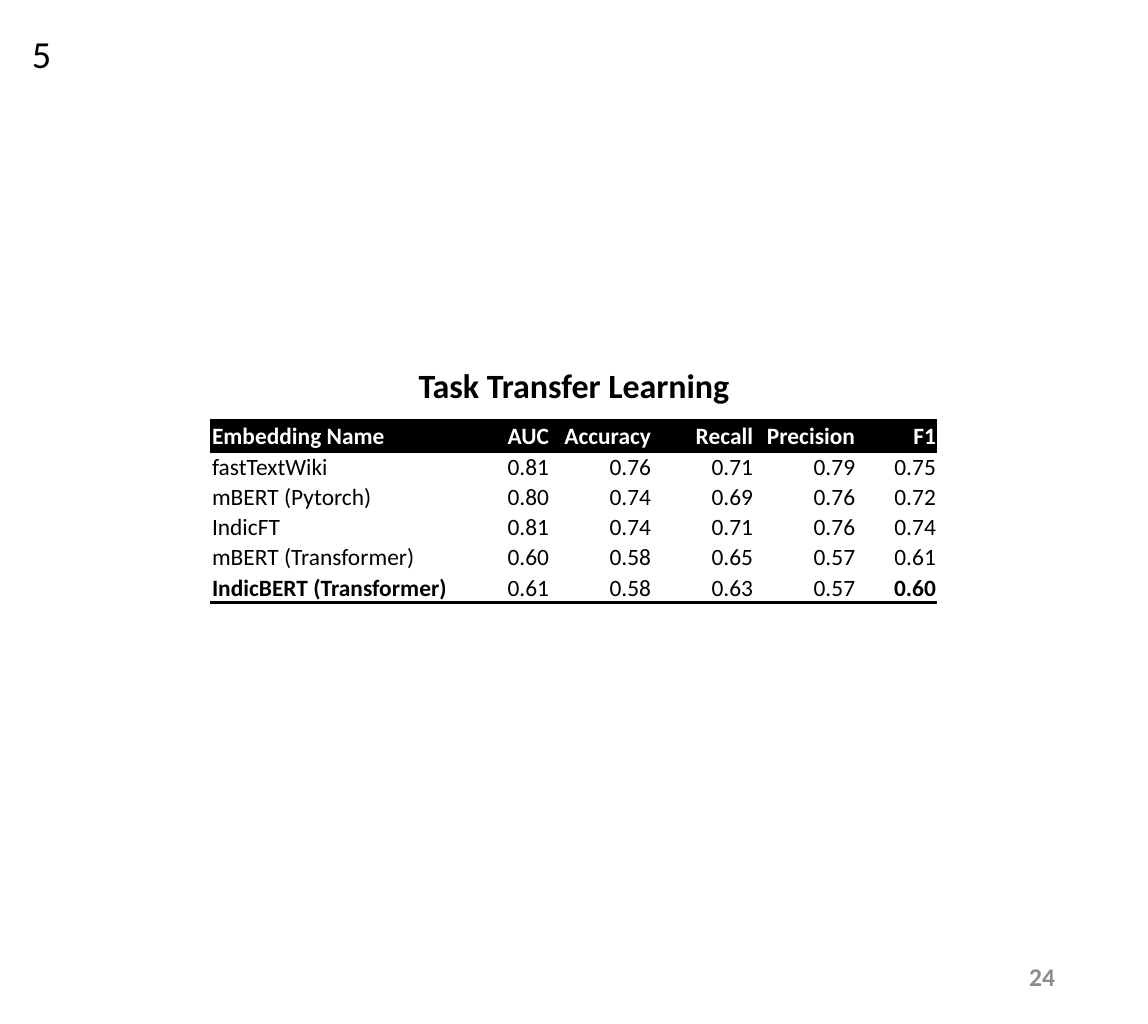
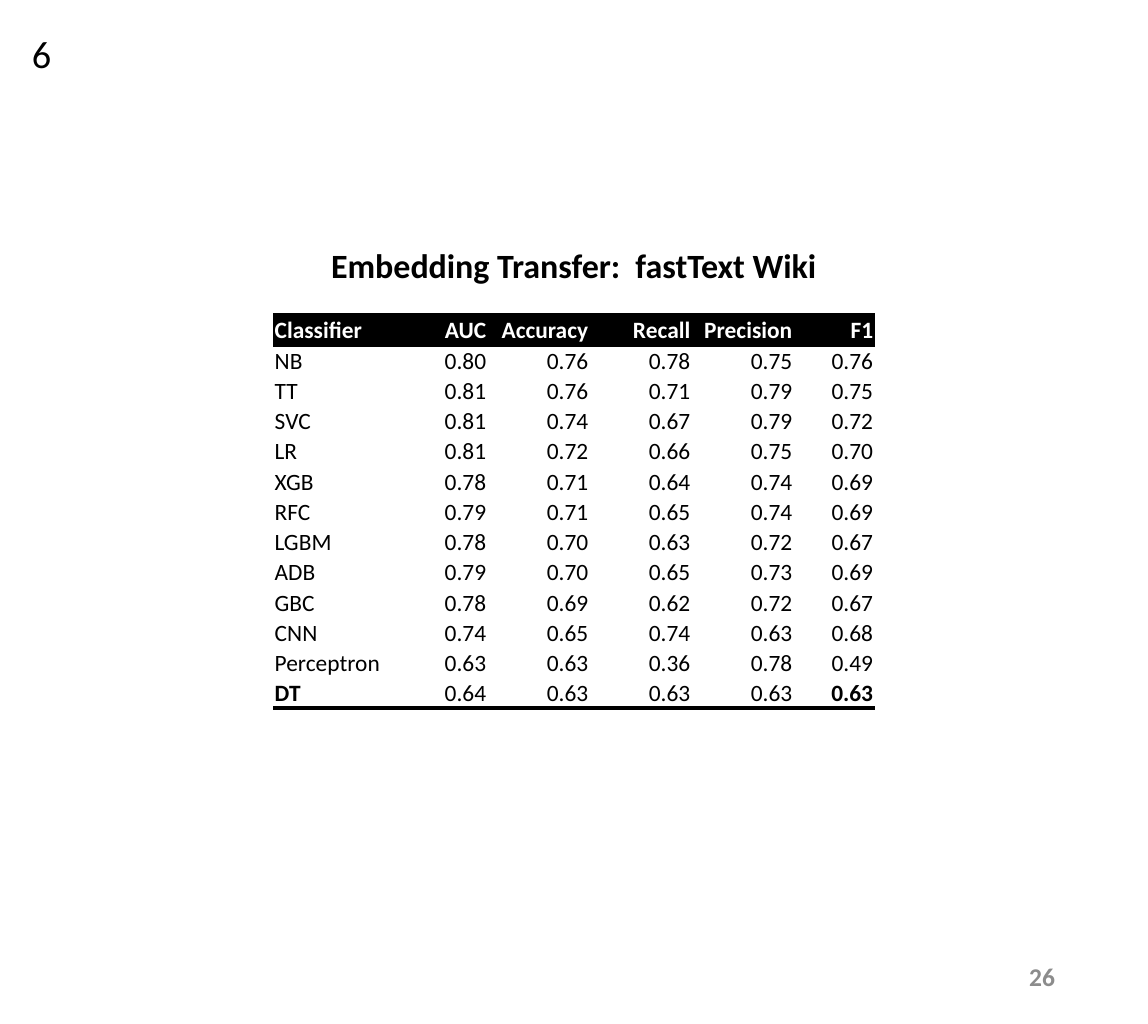
from lxml import etree
from pptx import Presentation
from pptx.dml.color import RGBColor
from pptx.enum import text
from pptx.oxml.ns import qn
from pptx.util import Pt

# Shared style
FONT = "Calibri"
BLACK = RGBColor(0x00, 0x00, 0x00)
WHITE = RGBColor(0xFF, 0xFF, 0xFF)
GRAY = RGBColor(0x8C, 0x8C, 0x8C)
LEFT, CENTER, RIGHT = (text.PP_ALIGN.LEFT, text.PP_ALIGN.CENTER,
                       text.PP_ALIGN.RIGHT)
PLAIN_TABLE_STYLE = "{2D5ABB26-0587-4C30-8999-92F81FD0307C}"

SLIDE_W, SLIDE_H = 540, 481.68
ROW_H = 14.25
METRICS = ["AUC", "Accuracy", "Recall", "Precision", "F1"]
METRIC_WIDTHS = [48, 48, 48, 48, 38]

# Content
RESULTS = [
    {
        "label": "5", "page": "24",
        "title": "Task Transfer Learning", "title_top": 167.8, "title_w": 270,
        "key": "Embedding Name", "key_w": 112, "table_top": 198,
        "rows": [
            ("fastTextWiki", 0.81, 0.76, 0.71, 0.79, 0.75),
            ("mBERT (Pytorch)", 0.80, 0.74, 0.69, 0.76, 0.72),
            ("IndicFT", 0.81, 0.74, 0.71, 0.76, 0.74),
            ("mBERT (Transformer)", 0.60, 0.58, 0.65, 0.57, 0.61),
            ("IndicBERT (Transformer)", 0.61, 0.58, 0.63, 0.57, 0.60),
        ],
    },
    {
        "label": "6", "page": "26",
        "title": "Embedding Transfer:  fastText Wiki",
        "title_top": 111.6, "title_w": 309,
        "key": "Classifier", "key_w": 53, "table_top": 148.2,
        "rows": [
            ("NB", 0.80, 0.76, 0.78, 0.75, 0.76),
            ("TT", 0.81, 0.76, 0.71, 0.79, 0.75),
            ("SVC", 0.81, 0.74, 0.67, 0.79, 0.72),
            ("LR", 0.81, 0.72, 0.66, 0.75, 0.70),
            ("XGB", 0.78, 0.71, 0.64, 0.74, 0.69),
            ("RFC", 0.79, 0.71, 0.65, 0.74, 0.69),
            ("LGBM", 0.78, 0.70, 0.63, 0.72, 0.67),
            ("ADB", 0.79, 0.70, 0.65, 0.73, 0.69),
            ("GBC", 0.78, 0.69, 0.62, 0.72, 0.67),
            ("CNN", 0.74, 0.65, 0.74, 0.63, 0.68),
            ("Perceptron", 0.63, 0.63, 0.36, 0.78, 0.49),
            ("DT", 0.64, 0.63, 0.63, 0.63, 0.63),
        ],
    },
]


def write(frame, words, size, color, bold, align):
    frame.text = words
    paragraph = frame.paragraphs[0]
    paragraph.alignment = align
    font = paragraph.runs[0].font
    font.name, font.size, font.bold = FONT, Pt(size), bold
    font.color.rgb = color


def add_label(slide, box, words, size, color=BLACK, bold=False, align=LEFT,
              wrap=True, anchor=text.MSO_ANCHOR.TOP):
    frame = slide.shapes.add_textbox(*map(Pt, box)).text_frame
    frame.word_wrap = wrap
    frame.vertical_anchor = anchor
    write(frame, words, size, color, bold, align)


def add_rules(cell, sides):
    """Draw 2 pt black rules on the given sides (lnT, lnB) of a cell."""
    props = cell._tc.get_or_add_tcPr()
    for side in sides:
        line = etree.SubElement(props, qn("a:" + side), w=str(Pt(2)))
        fill = etree.SubElement(line, qn("a:solidFill"))
        etree.SubElement(fill, qn("a:srgbClr"), val=str(BLACK))


def add_scores(slide, result):
    grid = [[result["key"], *METRICS]]
    grid += [[name, *(f"{score:.2f}" for score in scores)]
             for name, *scores in result["rows"]]
    widths = [result["key_w"], *METRIC_WIDTHS]
    total = sum(widths)
    last_row, last_col = len(grid) - 1, len(widths) - 1
    table = slide.shapes.add_table(
        len(grid), len(widths), Pt((SLIDE_W - total) / 2),
        Pt(result["table_top"]), Pt(total), Pt(ROW_H * len(grid))).table
    table.first_row = table.horz_banding = False
    table._tbl.tblPr.find(qn("a:tableStyleId")).text = PLAIN_TABLE_STYLE
    for column, width in zip(table.columns, widths):
        column.width = Pt(width)

    for r, values in enumerate(grid):
        table.rows[r].height = Pt(ROW_H)
        header = r == 0
        rules = ("lnT", "lnB") if header else ("lnB",) if r == last_row else ()
        for c, value in enumerate(values):
            cell = table.cell(r, c)
            cell.margin_left = cell.margin_right = cell.margin_top = Pt(0.72)
            cell.margin_bottom = 0
            cell.vertical_anchor = text.MSO_ANCHOR.BOTTOM
            add_rules(cell, rules)
            cell.fill.solid()
            cell.fill.fore_color.rgb = BLACK if header else WHITE
            bold = header or (r == last_row and c in (0, last_col))
            write(cell.text_frame, value, 11, WHITE if header else BLACK,
                  bold, RIGHT if c else LEFT)


def main():
    deck = Presentation()
    deck.slide_width, deck.slide_height = Pt(SLIDE_W), Pt(SLIDE_H)
    for result in RESULTS:
        slide = deck.slides.add_slide(deck.slide_layouts[6])
        # Title, page number and figure number
        title_w = result["title_w"]
        add_label(slide, ((SLIDE_W - title_w) / 2, result["title_top"],
                          title_w, 26.6),
                  result["title"], 16, bold=True, align=CENTER)
        add_label(slide, (381.6, 446.4, 121.7, 25.9), result["page"], 12,
                  GRAY, bold=True, align=RIGHT, anchor=text.MSO_ANCHOR.MIDDLE)
        add_label(slide, (8, 10.8, 23.8, 28.8), result["label"], 18,
                  wrap=False)
        # Score table
        add_scores(slide, result)
    deck.save("out.pptx")


if __name__ == "__main__":
    main()
